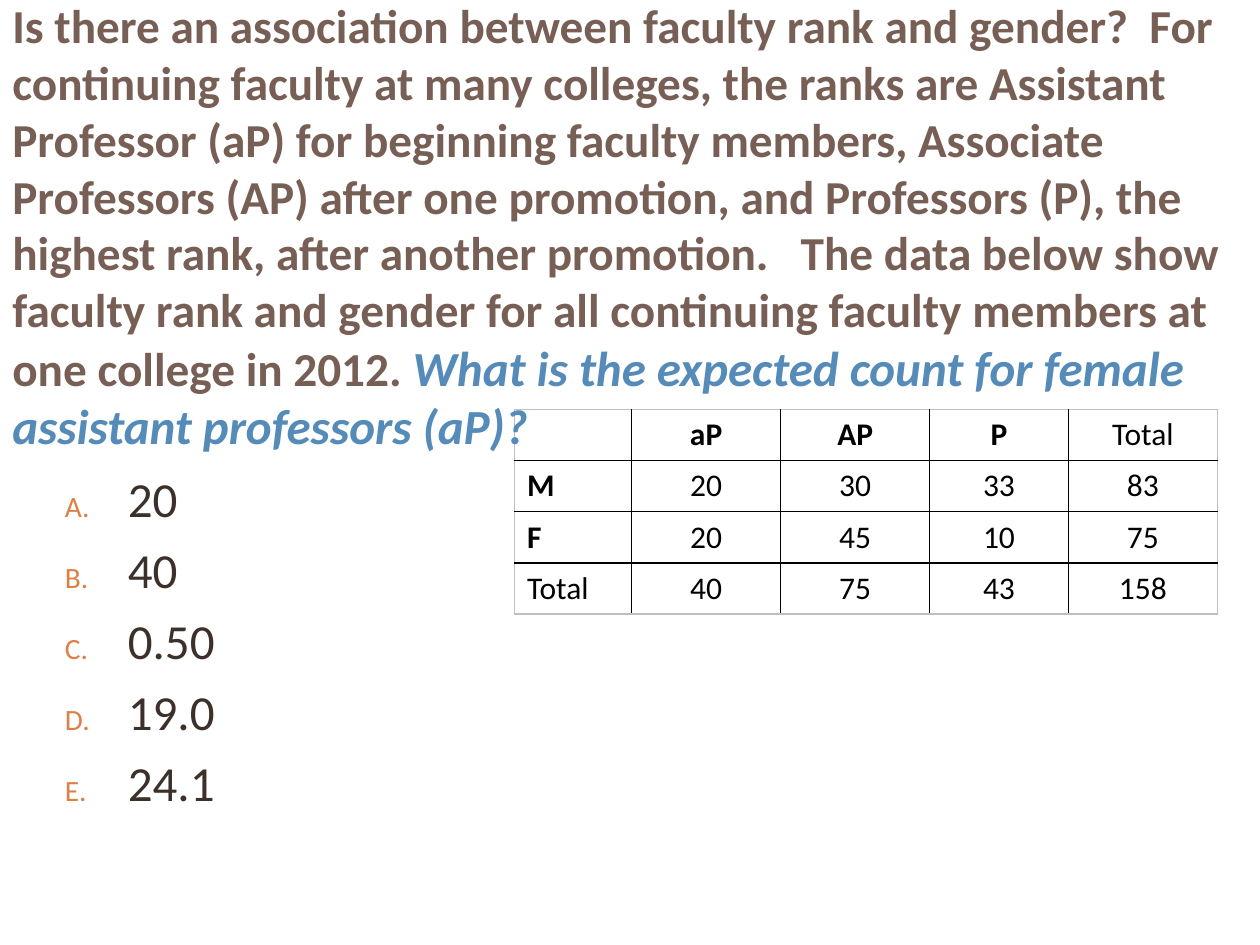
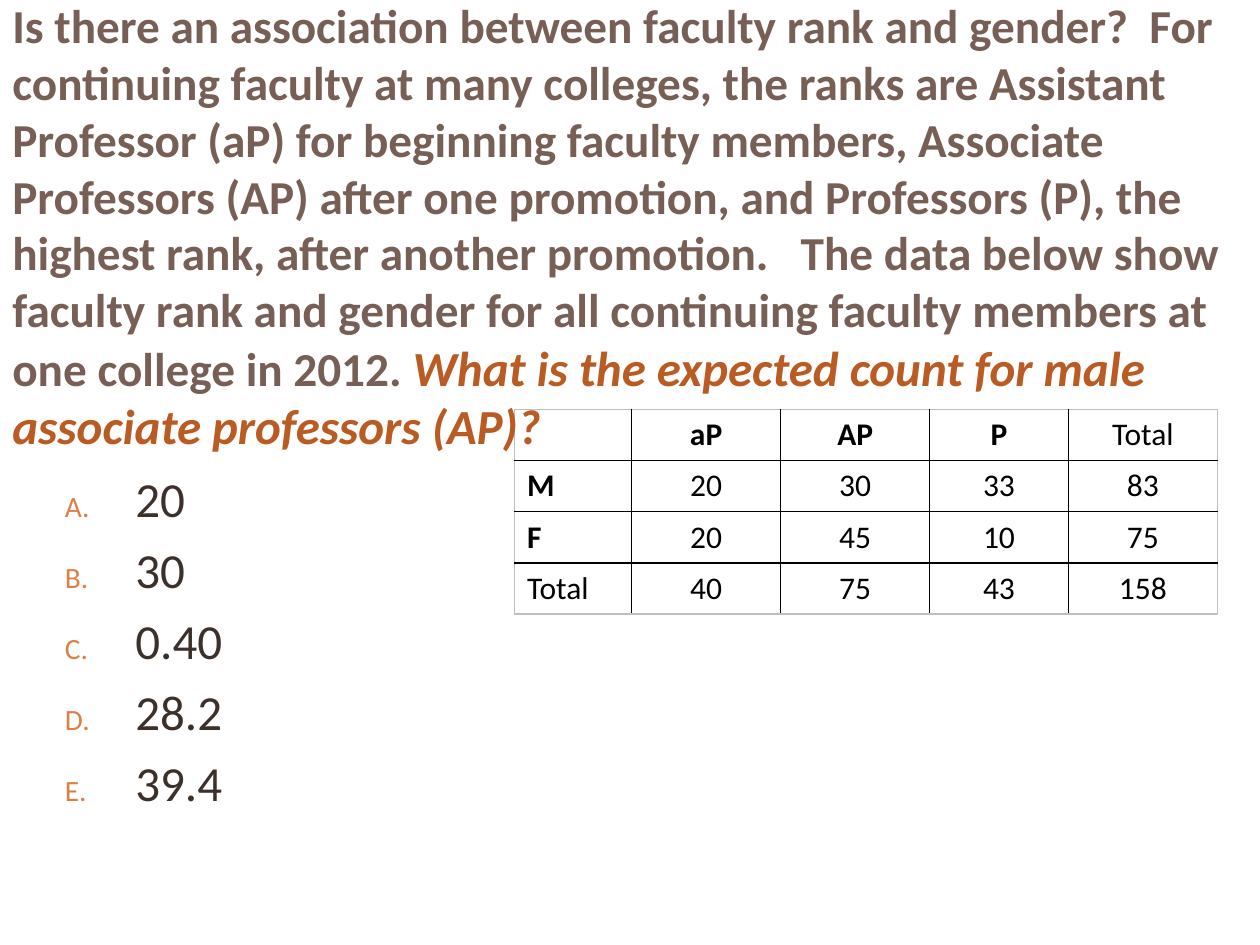
from dataclasses import dataclass

from lxml import etree
from pptx import Presentation
from pptx.dml.color import RGBColor
from pptx.enum.text import MSO_ANCHOR, PP_ALIGN
from pptx.oxml.ns import qn
from pptx.util import Inches, Pt

LEFT, CENTER = PP_ALIGN.LEFT, PP_ALIGN.CENTER
TOP, MIDDLE = MSO_ANCHOR.TOP, MSO_ANCHOR.MIDDLE
COLS, ROWS = 120, 90  # slide grid


@dataclass(frozen=True)
class Theme:
    font: str = "Calibri"
    title: str = "775F55"
    female: str = "558BB8"
    male: str = "B95B22"
    body: str = "3C302A"
    bullet: str = "DD8047"
    cell: str = "000000"
    inner_line: str = "000000"
    outer_line: str = "BFBFBF"
    title_size: int = 27
    question_size: int = 28
    body_size: int = 28
    cell_size: int = 18
    bullet_percent: int = 60
    answer_gap: int = 7
    line_width: int = 1


def add_run(p, text, *, font, size, color, bold=False, italic=False):
    r = p.add_run()
    r.text = text
    r.font.name, r.font.size = font, Pt(size)
    r.font.bold, r.font.italic = bold, italic
    r.font.color.rgb = RGBColor.from_string(color)


def add_letter(p, theme, indent):
    """Number a paragraph A., B., C. with a hanging indent."""
    pPr = p._p.get_or_add_pPr()
    pPr.set("marL", str(indent))
    pPr.set("indent", str(-indent))
    clr = etree.SubElement(pPr, qn("a:buClr"))
    etree.SubElement(clr, qn("a:srgbClr"), val=theme.bullet)
    etree.SubElement(pPr, qn("a:buSzPct"), val=str(theme.bullet_percent * 1000))
    etree.SubElement(pPr, qn("a:buFont"), typeface=theme.font)
    etree.SubElement(pPr, qn("a:buAutoNum"), type="alphaUcPeriod")


def set_borders(cell, colors, width):
    tcPr = cell._tc.get_or_add_tcPr()
    for i, (side, color) in enumerate(colors.items()):
        ln = etree.Element(qn(f"a:ln{side}"), w=str(Pt(width)))
        fill = etree.SubElement(ln, qn("a:solidFill"))
        etree.SubElement(fill, qn("a:srgbClr"), val=color)
        tcPr.insert(i, ln)


class Deck:
    def __init__(self, prs, theme):
        self.prs, self.theme, self.s = prs, theme, None

    def new_slide(self):
        self.s = self.prs.slides.add_slide(self.prs.slide_layouts[6])

    def x(self, cols):
        return round(self.prs.slide_width * cols / COLS)

    def y(self, rows):
        return round(self.prs.slide_height * rows / ROWS)

    def text_box(self, col, row, width, height, anchor):
        sp = self.s.shapes.add_textbox(self.x(col), self.y(row),
                                       self.x(width), self.y(height))
        tf = sp.text_frame
        tf.word_wrap, tf.vertical_anchor = True, anchor
        return tf

    def title(self, story, question, color):
        t = self.theme
        tf = self.text_box(0, 0, COLS, 43, MIDDLE)
        tf.margin_top = tf.margin_bottom = 0
        p = tf.paragraphs[0]
        add_run(p, story, font=t.font, size=t.title_size, color=t.title, bold=True)
        add_run(p, question, font=t.font, size=t.question_size, color=color,
                bold=True, italic=True)

    def answers(self, choices, indent):
        t = self.theme
        tf = self.text_box(5, 44, 40, 33, TOP)
        for i, choice in enumerate(choices):
            p = tf.add_paragraph() if i else tf.paragraphs[0]
            if i:
                p.space_before = Pt(t.answer_gap)
            add_letter(p, t, Inches(indent))
            add_run(p, choice, font=t.font, size=t.body_size, color=t.body)

    def table(self, rows, widths, row_height):
        t = self.theme
        last_row, last_col = len(rows) - 1, len(widths) - 1
        tbl = self.s.shapes.add_table(
            len(rows), len(widths), self.x(49), self.y(39),
            self.x(sum(widths)), self.y(row_height * len(rows))).table
        tbl.first_row = tbl.horz_banding = False
        for column, width in zip(tbl.columns, widths):
            column.width = self.x(width)
        for i, values in enumerate(rows):
            tbl.rows[i].height = self.y(row_height)
            for j, text in enumerate(values):
                cell = tbl.cell(i, j)
                cell.fill.background()
                edges = {"L": j == 0, "R": j == last_col,
                         "T": i == 0, "B": i == last_row}
                set_borders(cell, {side: t.outer_line if outer else t.inner_line
                                   for side, outer in edges.items()}, t.line_width)
                p = cell.text_frame.paragraphs[0]
                p.alignment = CENTER if j else LEFT
                if text:
                    header = (i == 0 or j == 0) and text != "Total"
                    add_run(p, text, font=t.font, size=t.cell_size,
                            color=t.cell, bold=header)


STORY = (
    "Is there an association between faculty rank and gender?  For continuing "
    "faculty at many colleges, the ranks are Assistant Professor (aP) for "
    "beginning faculty members, Associate Professors (AP) after one promotion, "
    "and Professors (P), the highest rank, after another promotion.   The data "
    "below show faculty rank and gender for all continuing faculty members at "
    "one college in 2012. ")

FACULTY = [
    ["", "aP", "AP", "P", "Total"],
    ["M", "20", "30", "33", "83"],
    ["F", "20", "45", "10", "75"],
    ["Total", "40", "75", "43", "158"],
]
FACULTY_WIDTHS = [11.15, 14.2, 14.2, 13.2, 14.2]

# Question, its colour, answers, answer indent in inches
QUIZ = [
    ("What is the expected count for female assistant professors (aP)?",
     Theme.female, ["20", "40", "0.50", "19.0", "24.1"], 0.5),
    ("What is the expected count for male associate professors (AP)?",
     Theme.male, ["20", "30", "0.40", "28.2", "39.4"], 0.56),
]


def main():
    prs = Presentation()
    prs.slide_width, prs.slide_height = Inches(10), Inches(7.5)
    deck = Deck(prs, Theme())
    for question, color, choices, indent in QUIZ:
        deck.new_slide()
        deck.table(FACULTY, FACULTY_WIDTHS, 4.87)
        deck.title(STORY, question, color)
        deck.answers(choices, indent)
    prs.save("out.pptx")


if __name__ == "__main__":
    main()
